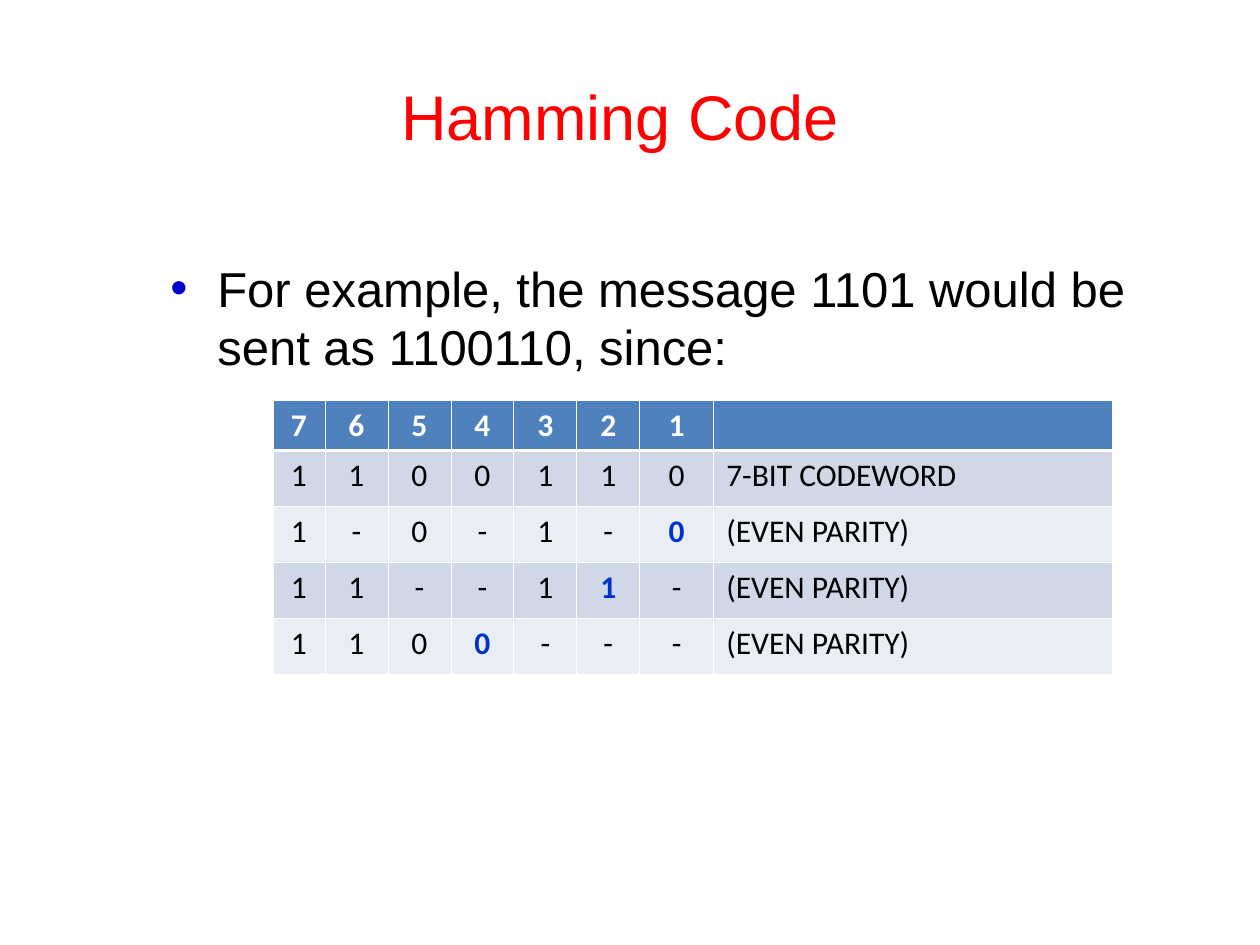
from lxml import etree
from pptx import Presentation
from pptx.dml.color import RGBColor
from pptx.enum.text import MSO_ANCHOR, PP_ALIGN
from pptx.oxml.ns import qn
from pptx.util import Pt

CENTER, LEFT = PP_ALIGN.CENTER, PP_ALIGN.LEFT
MIDDLE = MSO_ANCHOR.MIDDLE
PX = 914400 // 126

RED = RGBColor(0xFF, 0x00, 0x00)
BLACK = RGBColor(0x00, 0x00, 0x00)
WHITE = RGBColor(0xFF, 0xFF, 0xFF)
NAVY = RGBColor(0x00, 0x00, 0xCC)
BLUE = RGBColor(0x00, 0x33, 0xCC)
HEAD = RGBColor(0x4F, 0x81, 0xBD)
BANDS = [RGBColor(0xE9, 0xED, 0xF4), RGBColor(0xD0, 0xD8, 0xE8)]


def style(para, name, size, color, bold=False):
    for run in para.runs:
        font = run.font
        font.name, font.size, font.bold = name, Pt(size), bold
        font.color.rgb = color


def border(cell, side, width):
    props = cell._tc.get_or_add_tcPr()
    line = etree.SubElement(props, qn("a:ln" + side), w=str(Pt(width)))
    fill = etree.SubElement(line, qn("a:solidFill"))
    etree.SubElement(fill, qn("a:srgbClr"), val=str(WHITE))


prs = Presentation()
prs.slide_width, prs.slide_height = 1260 * PX, 945 * PX
slide = prs.slides.add_slide(prs.slide_layouts[5])

title = slide.shapes.title
title.left, title.top = 53 * PX, 42 * PX
title.width, title.height = 1134 * PX, 147 * PX
title.text_frame.text = "Hamming Code"
title.text_frame.vertical_anchor = MIDDLE
para = title.text_frame.paragraphs[0]
para.alignment = CENTER
style(para, "Arial", 36, RED)

body = slide.shapes.add_textbox(158 * PX, 252 * PX, 1040 * PX, 592 * PX)
body.text_frame.word_wrap = True
body.text_frame.text = "For example, the message 1101 would be sent as 1100110, since:"
para = body.text_frame.paragraphs[0]
para.space_before = Pt(7)
style(para, "Arial", 28, BLACK)
props = para._p.get_or_add_pPr()
props.set("marL", str(47 * PX))
props.set("indent", str(-47 * PX))
tint = etree.SubElement(props, qn("a:buClr"))
etree.SubElement(tint, qn("a:srgbClr"), val=str(NAVY))
etree.SubElement(props, qn("a:buFont"), typeface="Arial")
etree.SubElement(props, qn("a:buChar"), char="•")

rows = [
    ("7654321", ""),
    ("1100110", "7-BIT CODEWORD"),
    ("1-0-1-0", "(EVEN PARITY)"),
    ("11--11-", "(EVEN PARITY)"),
    ("1100---", "(EVEN PARITY)"),
]
parity = {(2, 6), (3, 5), (4, 3)}
widths = [52] + [63] * 5 + [74, 399]
heights = [50] + [56] * 4

frame = slide.shapes.add_table(
    len(rows), len(widths), 273 * PX, 400 * PX, sum(widths) * PX, sum(heights) * PX
)
table = frame.table
for col, width in zip(table.columns, widths):
    col.width = width * PX
for row, height in zip(table.rows, heights):
    row.height = height * PX

for r, (bits, note) in enumerate(rows):
    for c, text in enumerate([*bits, note]):
        cell = table.cell(r, c)
        cell.text_frame.text = text
        para = cell.text_frame.paragraphs[0]
        para.alignment = CENTER if c < len(bits) else LEFT
        mark = (r, c) in parity
        color = WHITE if r == 0 else BLUE if mark else BLACK
        style(para, "Calibri", 18, color, r == 0 or mark)
        for side in "LRTB":
            thick = (r, side) in [(0, "B"), (1, "T")]
            border(cell, side, 1.47 if thick else 0.45)
        cell.fill.solid()
        cell.fill.fore_color.rgb = HEAD if r == 0 else BANDS[r % 2]

prs.save("out.pptx")
